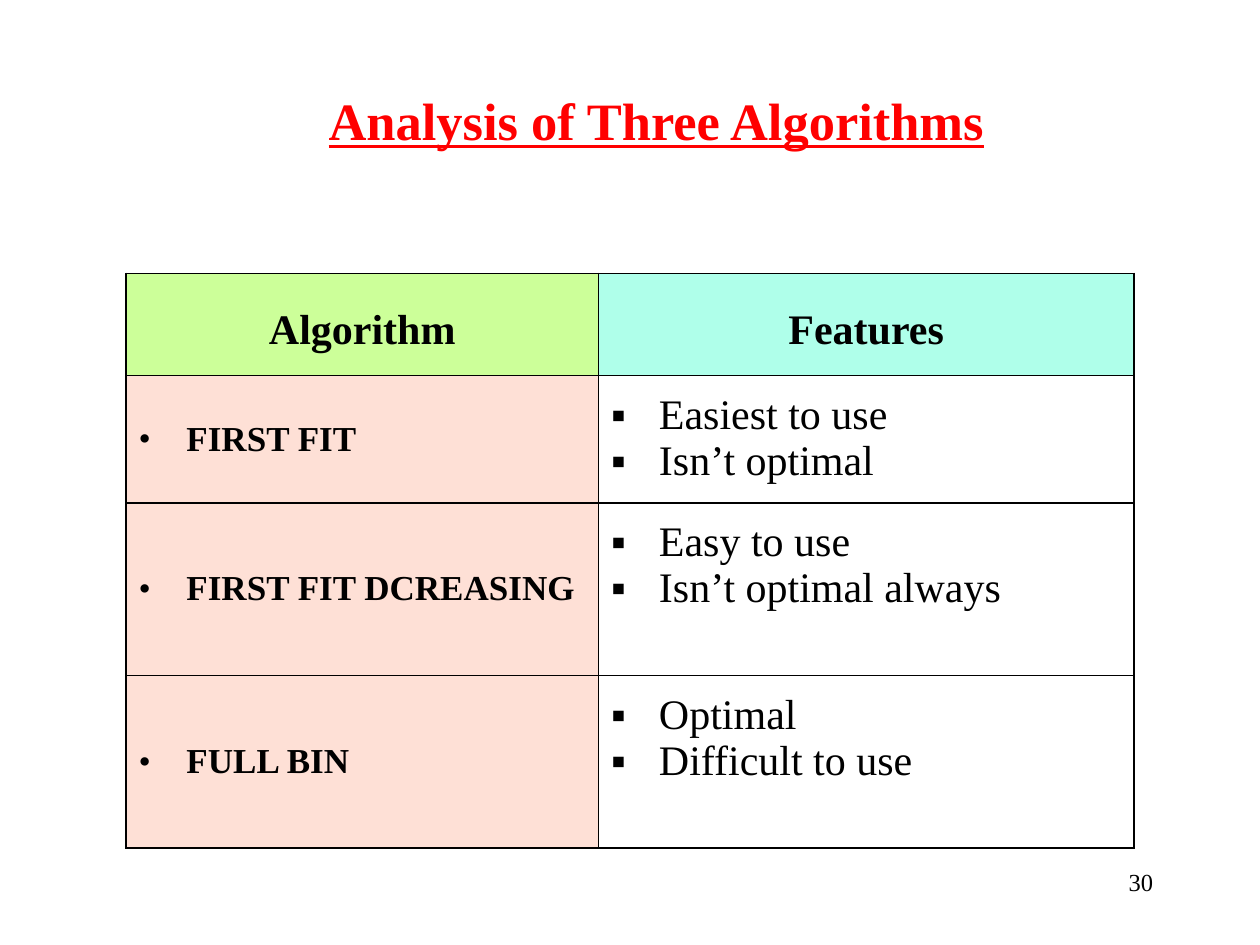
from dataclasses import dataclass

from lxml.etree import SubElement
from pptx import Presentation
from pptx.dml.color import RGBColor
from pptx.enum.text import MSO_ANCHOR as Anchor, MSO_AUTO_SIZE as AutoSize, PP_ALIGN as Align
from pptx.oxml.ns import qn
from pptx.util import Inches, Pt

FONT = "Times New Roman"
COLORS = {
    "title": "FF0000",
    "text": "000000",
    "algorithm_header": "CCFF99",
    "features_header": "AFFFEA",
    "algorithm": "FEE0D6",
    "features": "FFFFFF",
}
COLUMN_WIDTHS = (3.75, 4.25)
HEADER_HEIGHT = 0.81


@dataclass
class TextStyle:
    size: int
    bold: bool = False
    color: str = "text"
    align: Align = Align.LEFT
    bullet: str = ""
    line_spacing: float = 1.0
    underline: bool = False


@dataclass
class CellStyle:
    text: TextStyle
    fill: str
    anchor: Anchor = Anchor.TOP
    top_margin: float = 0.08


@dataclass
class Algorithm:
    name: str
    features: list[str]
    height: float


TITLE = TextStyle(30, True, "title", Align.CENTER, underline=True)
PAGE_NUMBER = TextStyle(14, align=Align.RIGHT)
HEADER = TextStyle(24, True, align=Align.CENTER, line_spacing=1.5)
ALGORITHM_CELL = CellStyle(TextStyle(20, True, bullet="•"), "algorithm", Anchor.MIDDLE)
FEATURES_CELL = CellStyle(TextStyle(24, bullet="▪"), "features", top_margin=0.13)
HEADERS = [
    ("Algorithm", CellStyle(HEADER, "algorithm_header")),
    ("Features", CellStyle(HEADER, "features_header")),
]
ALGORITHMS = [
    Algorithm("FIRST FIT", ["Easiest to use", "Isn’t optimal"], 0.97),
    Algorithm("FIRST FIT DCREASING", ["Easy to use", "Isn’t optimal always"], 1.37),
    Algorithm("FULL BIN", ["Optimal", "Difficult to use"], 1.37),
]


def add_bullet(paragraph, character: str) -> None:
    properties = paragraph._p.get_or_add_pPr()
    properties.set("marL", str(Inches(0.38)))
    properties.set("indent", str(-Inches(0.38)))
    color = SubElement(properties, qn("a:buClr"))
    SubElement(color, qn("a:srgbClr"), val=COLORS["text"])
    SubElement(properties, qn("a:buFont"), typeface=FONT)
    SubElement(properties, qn("a:buChar"), char=character)


def write_text(frame, lines: list[str], style: TextStyle) -> None:
    frame.word_wrap = True
    frame.text = "\n".join(lines)
    for paragraph in frame.paragraphs:
        paragraph.alignment = style.align
        paragraph.line_spacing = style.line_spacing
        if style.bullet:
            add_bullet(paragraph, style.bullet)
        font = paragraph.font
        font.name, font.size = FONT, Pt(style.size)
        font.bold, font.underline = style.bold, style.underline
        font.color.rgb = RGBColor.from_string(COLORS[style.color])


def add_borders(cell) -> None:
    properties = cell._tc.get_or_add_tcPr()
    for side in ("lnL", "lnR", "lnT", "lnB"):
        line = SubElement(properties, qn(f"a:{side}"), w=str(Pt(1)))
        fill = SubElement(line, qn("a:solidFill"))
        SubElement(fill, qn("a:srgbClr"), val=COLORS["text"])


def fill_cell(cell, lines: list[str], style: CellStyle) -> None:
    add_borders(cell)
    cell.fill.solid()
    cell.fill.fore_color.rgb = RGBColor.from_string(COLORS[style.fill])
    cell.vertical_anchor = style.anchor
    cell.margin_left = cell.margin_right = Inches(0.1)
    cell.margin_top, cell.margin_bottom = Inches(style.top_margin), Inches(0.08)
    write_text(cell.text_frame, lines, style.text)


def add_title(slide) -> None:
    title = slide.shapes.title
    title.left, title.top = Inches(1.17), Inches(0.5)
    title.width, title.height = Inches(8.08), Inches(0.9)
    frame = title.text_frame
    frame.auto_size = AutoSize.NONE
    frame.vertical_anchor = Anchor.MIDDLE
    write_text(frame, ["Analysis of Three Algorithms"], TITLE)


def add_algorithm_table(slide) -> None:
    heights = [HEADER_HEIGHT] + [algorithm.height for algorithm in ALGORITHMS]
    table = slide.shapes.add_table(
        len(heights), len(COLUMN_WIDTHS), Inches(1), Inches(2.17),
        Inches(sum(COLUMN_WIDTHS)), Inches(sum(heights)),
    ).table
    for column, width in zip(table.columns, COLUMN_WIDTHS):
        column.width = Inches(width)
    for row, height in zip(table.rows, heights):
        row.height = Inches(height)
    for index, (label, style) in enumerate(HEADERS):
        fill_cell(table.cell(0, index), [label], style)
    for index, algorithm in enumerate(ALGORITHMS, start=1):
        fill_cell(table.cell(index, 0), [algorithm.name], ALGORITHM_CELL)
        fill_cell(table.cell(index, 1), algorithm.features, FEATURES_CELL)


def add_page_number(slide) -> None:
    box = slide.shapes.add_textbox(Inches(7.17), Inches(6.83), Inches(2.08), Inches(0.5))
    write_text(box.text_frame, ["30"], PAGE_NUMBER)


def main() -> None:
    presentation = Presentation()
    presentation.slide_width, presentation.slide_height = Inches(10), Inches(7.5)
    slide = presentation.slides.add_slide(presentation.slide_layouts[5])
    add_title(slide)
    add_page_number(slide)
    add_algorithm_table(slide)
    presentation.save("out.pptx")


if __name__ == "__main__":
    main()
